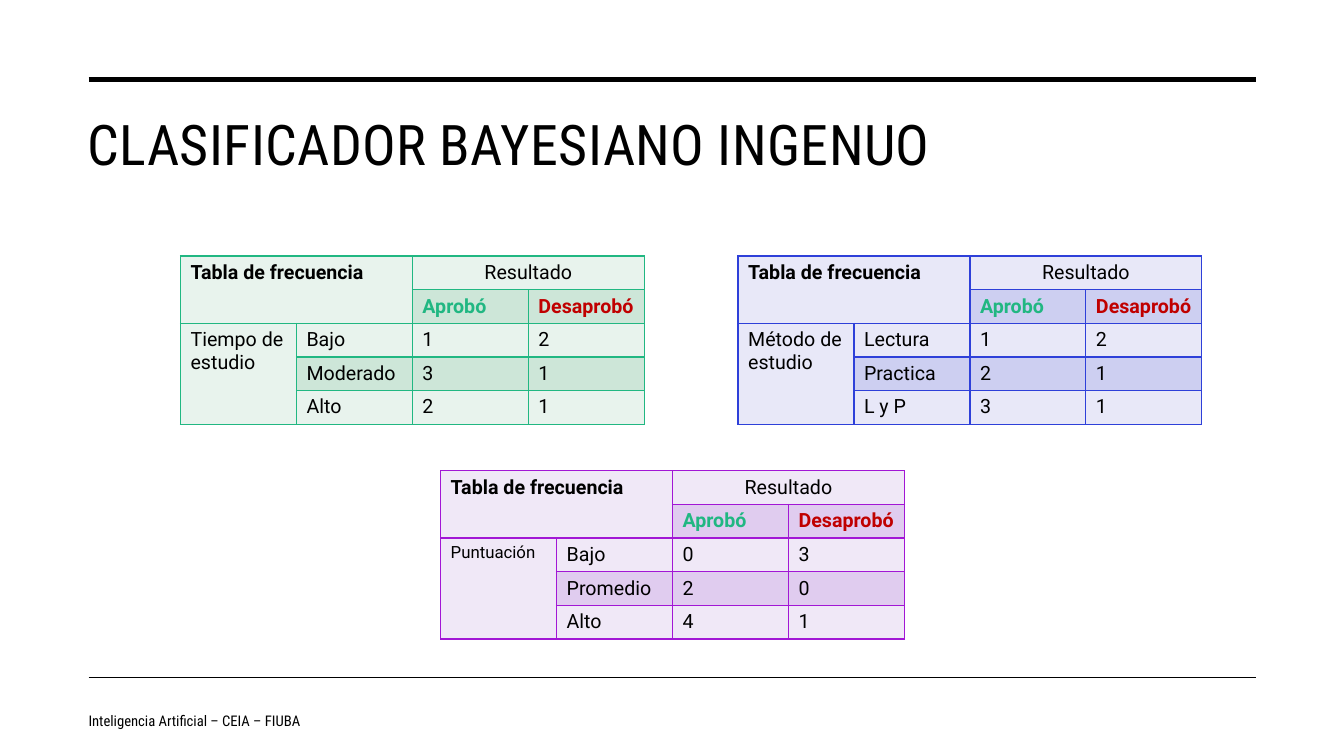
from dataclasses import dataclass

from lxml import etree
from pptx import Presentation
from pptx.dml.color import RGBColor
from pptx.enum.shapes import MSO_CONNECTOR
from pptx.enum.text import MSO_ANCHOR, MSO_AUTO_SIZE, PP_ALIGN
from pptx.oxml.ns import qn
from pptx.util import Inches, Pt

STRAIGHT = MSO_CONNECTOR.STRAIGHT
TOP, MIDDLE = MSO_ANCHOR.TOP, MSO_ANCHOR.MIDDLE
LEFT, CENTER = PP_ALIGN.LEFT, PP_ALIGN.CENTER
NO_AUTOFIT = MSO_AUTO_SIZE.NONE
TITLE_ONLY = 5

SLIDE_W, SLIDE_H = 13.33, 7.5
RULE_LEFT, RULE_RIGHT = 0.88, 12.46
TABLE_W, TABLE_H = 4.6, 1.67
TABLE_ROWS, TABLE_COLS = 5, 4
UPPER_ROW, LOWER_ROW = 2.54, 4.67


@dataclass(frozen=True)
class Theme:
    heading: str = "Roboto Condensed"
    body: str = "Roboto"
    ink: str = "000000"
    passed: str = "21B782"
    failed: str = "C00000"
    title_size: float = 40
    cell_size: float = 14
    small_size: float = 12
    footer_size: float = 10.5
    green: tuple = ("21B782", "E8F3ED", "CDE6D8")
    blue: tuple = ("2E40D9", "E8E8F8", "CDCFF1")
    purple: tuple = ("A217D5", "F0E8F7", "E0CCEF")


THEME = Theme()

FREQUENCY_TABLES = [
    (1.79, UPPER_ROW, THEME.green, "Tiempo de estudio", THEME.cell_size,
     [("Bajo", 1, 2), ("Moderado", 3, 1), ("Alto", 2, 1)]),
    (7.32, UPPER_ROW, THEME.blue, "Método de estudio", THEME.cell_size,
     [("Lectura", 1, 2), ("Practica", 2, 1), ("L y P", 3, 1)]),
    (4.37, LOWER_ROW, THEME.purple, "Puntuación", THEME.small_size,
     [("Bajo", 0, 3), ("Promedio", 2, 0), ("Alto", 4, 1)]),
]


def style_paragraph(p, name, size, color=THEME.ink, bold=False, align=LEFT):
    p.alignment = align
    p.font.name = name
    p.font.size = Pt(size)
    p.font.bold = bold
    p.font.color.rgb = RGBColor.from_string(color)


def add_rule(s, y, weight):
    line = s.shapes.add_connector(
        STRAIGHT, Inches(RULE_LEFT), Inches(y), Inches(RULE_RIGHT), Inches(y))
    line.line.color.rgb = RGBColor.from_string(THEME.ink)
    line.line.width = Pt(weight)
    etree.SubElement(line._element.spPr, qn("a:effectLst"))


def set_title(s, text):
    sp = s.shapes.title
    sp.left, sp.top = Inches(0.77), Inches(1.01)
    sp.width, sp.height = Inches(11.69), Inches(0.92)
    tf = sp.text_frame
    tf.auto_size = NO_AUTOFIT
    tf.vertical_anchor = TOP
    tf.margin_top = Inches(0.08)
    p = tf.paragraphs[0]
    r = p.add_run()
    r.text = text
    r._r.get_or_add_rPr().set("spc", "30")
    style_paragraph(p, THEME.heading, THEME.title_size)


def add_footer(s, text):
    sp = s.shapes.add_textbox(
        Inches(0.78), Inches(6.95), Inches(4.96), Inches(0.4))
    tf = sp.text_frame
    tf.word_wrap = True
    tf.vertical_anchor = MIDDLE
    p = tf.paragraphs[0]
    p.text = text
    p.space_after = Pt(6)
    style_paragraph(p, THEME.heading, THEME.footer_size)


def set_borders(cell, color):
    tcPr = cell._tc.get_or_add_tcPr()
    for i, side in enumerate(("a:lnL", "a:lnR", "a:lnT", "a:lnB")):
        ln = etree.Element(qn(side), w=str(Pt(1)))
        fill = etree.SubElement(ln, qn("a:solidFill"))
        etree.SubElement(fill, qn("a:srgbClr"), val=color)
        tcPr.insert(i, ln)


def write_cell(cell, text, size=THEME.cell_size, **style):
    p = cell.text_frame.paragraphs[0]
    p.text = str(text)
    style_paragraph(p, THEME.body, size, **style)


def add_frequency_table(s, left, top, palette, feature, feature_size, counts):
    border, light, band = palette
    table = s.shapes.add_table(
        TABLE_ROWS, TABLE_COLS, Inches(left), Inches(top),
        Inches(TABLE_W), Inches(TABLE_H)).table
    table.first_row = False
    table.horz_banding = False
    for i in range(TABLE_ROWS):
        for j in range(TABLE_COLS):
            cell = table.cell(i, j)
            cell.fill.solid()
            cell.fill.fore_color.rgb = RGBColor.from_string(
                band if i % 2 else light)
            set_borders(cell, border)
            write_cell(cell, "")

    table.cell(0, 0).merge(table.cell(1, 1))
    table.cell(0, 2).merge(table.cell(0, 3))
    table.cell(2, 0).merge(table.cell(4, 0))
    write_cell(table.cell(0, 0), "Tabla de frecuencia", bold=True)
    write_cell(table.cell(0, 2), "Resultado", align=CENTER)
    write_cell(table.cell(1, 2), "Aprobó", color=THEME.passed, bold=True)
    write_cell(table.cell(1, 3), "Desaprobó", color=THEME.failed, bold=True)
    write_cell(table.cell(2, 0), feature, feature_size)
    for i, row in enumerate(counts, start=2):
        for j, value in enumerate(row, start=1):
            write_cell(table.cell(i, j), value)


def main():
    prs = Presentation()
    prs.slide_width, prs.slide_height = Inches(SLIDE_W), Inches(SLIDE_H)
    s = prs.slides.add_slide(prs.slide_layouts[TITLE_ONLY])
    add_rule(s, 0.79, 3.5)
    add_rule(s, 6.72, 1)
    set_title(s, "CLASIFICADOR BAYESIANO INGENUO")
    add_footer(s, "Inteligencia Artificial – CEIA – FIUBA")
    for frequency_table in FREQUENCY_TABLES:
        add_frequency_table(s, *frequency_table)
    prs.save("out.pptx")


if __name__ == "__main__":
    main()
